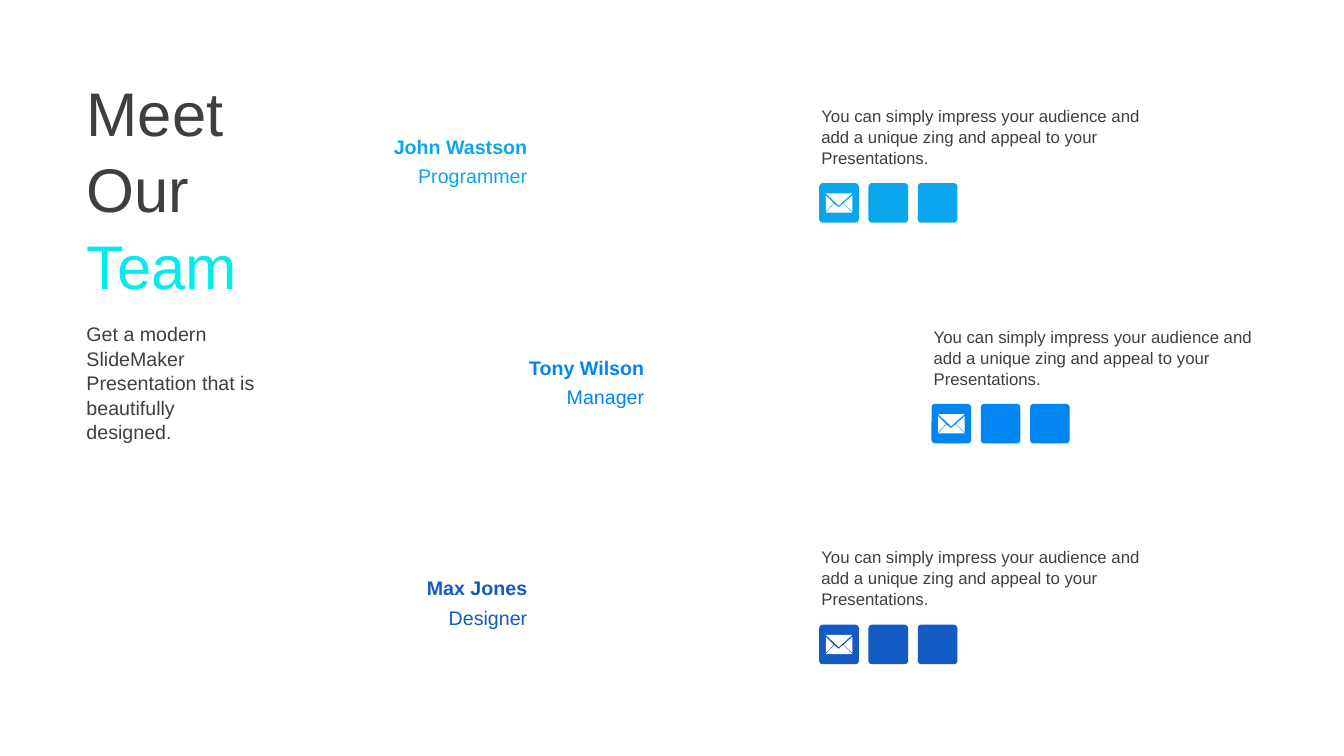
from pptx import Presentation
from pptx.dml.color import RGBColor
from pptx.enum.shapes import MSO_SHAPE as SHAPE
from pptx.enum.text import MSO_ANCHOR as ANCHOR, MSO_AUTO_SIZE as AUTO_SIZE, PP_ALIGN as ALIGN
from pptx.util import Pt


def paint(shape, color):
    shape.shadow.inherit = False
    shape.fill.solid()
    shape.fill.fore_color.rgb = RGBColor.from_string(color)
    shape.line.fill.background()


def write(shape, runs, size, box, bold=False, align=ALIGN.LEFT, anchor=ANCHOR.TOP, spacing=1.04):
    shape.left, shape.top, shape.width, shape.height = [Pt(length) for length in box]
    frame = shape.text_frame
    frame.word_wrap = True
    frame.auto_size = AUTO_SIZE.NONE
    frame.vertical_anchor = anchor
    paragraph = frame.paragraphs[0]
    paragraph.alignment = align
    paragraph.line_spacing = spacing
    paragraph.space_before = Pt(0)
    for text, color in runs:
        run = paragraph.add_run()
        run.text = text
        run.font.name = "Arial"
        run.font.size = Pt(size)
        run.font.bold = bold
        run.font.color.rgb = RGBColor.from_string(color)


DARK = "3F3F3F"
BIO = "You can simply impress your audience and add a unique zing and appeal to your Presentations."
INTRO = "Get a modern SlideMaker Presentation that is beautifully designed."
MEMBERS = [
    ("John Wastson", "Programmer", "0AA6ED", 259.2, 579.6),
    ("Tony Wilson", "Manager", "0085F2", 342.7, 659.8),
    ("Max Jones", "Designer", "125AC4", 259.2, 579.6),
]
ROW_PITCH = 157.7
TILE, TILE_PITCH = 28.3, 35.2
# Envelope flaps in tenths of a point from the tile corner
ENVELOPE = [
    [(170, 146), (138, 173), (106, 148), (47, 210), (236, 210)],
    [(236, 88), (182, 136), (175, 144), (236, 202)],
    [(47, 88), (47, 202), (102, 144)],
    [(47, 73), (139, 160), (236, 73)],
]

deck = Presentation()
deck.slide_width, deck.slide_height = Pt(960), Pt(540)
slide = deck.slides.add_slide(deck.slide_layouts[5])
shapes = slide.shapes

write(shapes.title, [("Meet Our ", DARK), ("Team", "02ECEC")], 44, (54.7, 47.5, 162.7, 167))
write(shapes.add_textbox(0, 0, 0, 0), [(INTRO, DARK)], 14, (54.7, 226.1, 141.8, 91))

for row, (name, role, color, name_left, bio_left) in enumerate(MEMBERS):
    row_top = 71.3 + row * ROW_PITCH
    for label, offset, bold in [(name, 23.7, True), (role, 44.6, False)]:
        write(shapes.add_textbox(0, 0, 0, 0), [(label, color)], 14,
              (name_left, row_top + offset, 124.6, 19.4),
              bold=bold, align=ALIGN.RIGHT, anchor=ANCHOR.MIDDLE, spacing=1)
    write(shapes.add_textbox(0, 0, 0, 0), [(BIO, DARK)], 12, (bio_left, row_top, 245.5, 51.1))

    tile_left, tile_top = bio_left + 5.6, row_top + 59.5
    for column in range(3):
        tile = shapes.add_shape(SHAPE.ROUNDED_RECTANGLE, Pt(tile_left + column * TILE_PITCH),
                                Pt(tile_top), Pt(TILE), Pt(TILE))
        tile.adjustments[0] = 0.09
        paint(tile, color)

    outline = shapes.build_freeform(*ENVELOPE[0][0], scale=Pt(0.1))
    outline.add_line_segments(ENVELOPE[0][1:])
    for start, *rest in ENVELOPE[1:]:
        outline.move_to(*start)
        outline.add_line_segments(rest)
    paint(outline.convert_to_shape(Pt(tile_left), Pt(tile_top)), "FFFFFF")

deck.save("out.pptx")
